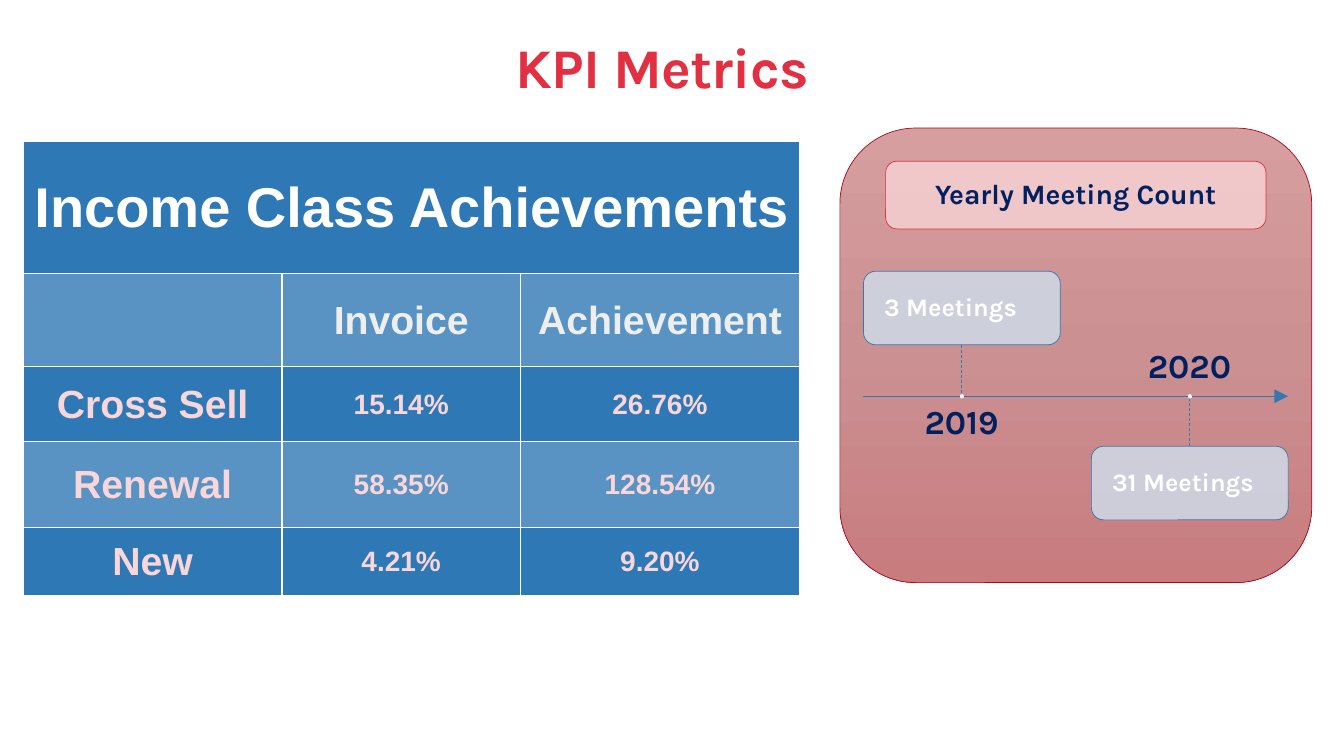
from collections import namedtuple
from copy import deepcopy

from lxml import etree
from pptx import Presentation
from pptx.dml.color import RGBColor
from pptx.enum.dml import MSO_LINE
from pptx.enum.shapes import MSO_CONNECTOR, MSO_SHAPE
from pptx.enum.text import MSO_ANCHOR, PP_ALIGN
from pptx.oxml.ns import qn
from pptx.util import Inches, Pt

COLORS = {
    "title": "E23042", "white": "FFFFFF", "navy": "002060", "heading": "EEEEEE",
    "pink": "F9D6D9", "table": "2E78B5", "band": "5893C4", "axis": "3578AF",
    "panel_top": "D69E9F", "panel_mid": "CB9092", "panel_end": "C87C7E",
    "panel_line": "A80B22", "card": "CED6E3", "caption": "F4CDCF", "dot_end": "E3E3E3",
}
PANEL_GRADIENT = ("panel_top", "panel_mid", "panel_end")
DOT_GRADIENT = ("white", "white", "dot_end")
COLUMNS = (2.57, 2.37, 2.77)
ROWS = (1.32, 0.92, 0.75, 0.85, 0.68)
INCOME = [
    ("Income Class Achievements", "", ""),
    ("", "Invoice", "Achievement"),
    ("Cross Sell", "15.14%", "26.76%"),
    ("Renewal", "58.35%", "128.54%"),
    ("New", "4.21%", "9.20%"),
]
# year, meetings, card left, card top, year top (shares of the panel), card above the axis
MEETINGS = [
    ("2019", "3 Meetings", 0.05, 0.315, 0.61, True),
    ("2020", "31 Meetings", 0.533, 0.70, 0.501, False),
]


class Box(namedtuple("Box", "left top width height")):
    def inner(self, left, top, width, height):
        """Box given as shares of this one."""
        return Box(int(self.left + left * self.width), int(self.top + top * self.height),
                   int(width * self.width), int(height * self.height))


def color(name):
    return RGBColor.from_string(COLORS[name])


def write(frame, text, size, ink, font="Karla", align=PP_ALIGN.CENTER, leading=0.9,
          tracking=None):
    frame.word_wrap = True
    paragraph = frame.paragraphs[0]
    paragraph.alignment = align
    paragraph.line_spacing = leading
    run = paragraph.add_run()
    run.text = text
    run.font.name, run.font.size, run.font.bold = font, Pt(size), True
    run.font.color.rgb = color(ink)
    if tracking:
        run.font._element.set("spc", str(int(tracking * 100)))


def set_frame(holder, sides, bottom, anchor=MSO_ANCHOR.MIDDLE):
    """Set margins and anchor of a text frame or a table cell."""
    holder.margin_left = holder.margin_right = holder.margin_top = Inches(sides)
    holder.margin_bottom = Inches(bottom)
    holder.vertical_anchor = anchor


def add_label(slide, box, text, size, ink, anchor, **style):
    label = slide.shapes.add_textbox(*box)
    set_frame(label.text_frame, 0, 0, anchor)
    write(label.text_frame, text, size, ink, **style)


def add_block(slide, kind, box, fill, line=None, opacity=None):
    block = slide.shapes.add_shape(kind, *box)
    block.shadow.inherit = False
    if isinstance(fill, tuple):
        block.fill.gradient()
        block.fill.gradient_angle = 270
        stops = block._element.spPr.find(qn("a:gradFill")).find(qn("a:gsLst"))
        stops.insert(1, deepcopy(stops[0]))
        for i, (stop, name) in enumerate(zip(block.fill.gradient_stops, fill)):
            stop.color.rgb = color(name)
            stop.position = i / 2
    else:
        block.fill.solid()
        block.fill.fore_color.rgb = color(fill)
    if opacity:
        tint = block._element.spPr.find(qn("a:solidFill"))[0]
        etree.SubElement(tint, qn("a:alpha")).set("val", str(opacity * 1000))
    if line:
        block.line.color.rgb = color(line)
        block.line.width = Pt(0.5)
    else:
        block.line.fill.background()
    return block


def add_line(slide, start, end, dashed=False, arrow=False):
    line = slide.shapes.add_connector(MSO_CONNECTOR.STRAIGHT, *start, *end)
    line.line.color.rgb = color("axis")
    line.line.width = Pt(0.5)
    if dashed:
        line.line.dash_style = MSO_LINE.DASH
    if arrow:
        tail = etree.SubElement(line._element.spPr.find(qn("a:ln")), qn("a:tailEnd"))
        for key, value in (("type", "triangle"), ("w", "lg"), ("len", "lg")):
            tail.set(key, value)
    etree.SubElement(line._element.spPr, qn("a:effectLst"))
    return line


def add_borders(cell):
    properties = cell._tc.get_or_add_tcPr()
    for i, side in enumerate(("lnL", "lnR", "lnT", "lnB")):
        border = etree.Element(qn("a:" + side), w=str(Pt(1)))
        ink = etree.SubElement(etree.SubElement(border, qn("a:solidFill")), qn("a:srgbClr"))
        ink.set("val", COLORS["white"])
        properties.insert(i, border)


def add_title(slide, box):
    add_label(slide, box, "KPI Metrics", 40, "title", MSO_ANCHOR.BOTTOM,
              leading=1.0, tracking=-0.5)


def cell_format(row, column):
    if row == 0:
        return 40, "white"
    if row == 1:
        return 28, "heading"
    return (20 if column else 28), "pink"


def add_income_table(slide, box):
    table = slide.shapes.add_table(len(ROWS), len(COLUMNS), *box).table
    for column, share in zip(table.columns, COLUMNS):
        column.width = int(box.width * share / sum(COLUMNS))
    for row, share in zip(table.rows, ROWS):
        row.height = int(box.height * share / sum(ROWS))
    table.cell(0, 0).merge(table.cell(0, len(COLUMNS) - 1))
    for r, values in enumerate(INCOME):
        for c, value in enumerate(values):
            cell = table.cell(r, c)
            cell.fill.solid()
            cell.fill.fore_color.rgb = color("band" if r % 2 else "table")
            add_borders(cell)
            set_frame(cell, 0.01, 0)
            if value:
                write(cell.text_frame, value, *cell_format(r, c), font="Arial", leading=1.0)


def add_meeting(slide, panel, axis_y, year, count, left, top, year_top, above):
    card_box = panel.inner(left, top, 0.417, 0.162)
    center = card_box.left + card_box.width // 2
    card = add_block(slide, MSO_SHAPE.ROUNDED_RECTANGLE, card_box, "card", "axis", 90)
    set_frame(card.text_frame, 0.17, 0.17)
    write(card.text_frame, count, 18, "white", align=PP_ALIGN.LEFT)

    # Stem between card and axis, with a dot on the axis
    edge = card_box.top + (card_box.height if above else 0)
    stem = add_line(slide, (center, edge), (center, axis_y), dashed=True)
    stem.begin_connect(card, 2 if above else 0)
    dot = Inches(0.04)
    add_block(slide, MSO_SHAPE.OVAL, Box(center - dot // 2, axis_y - dot // 2, dot, dot),
              DOT_GRADIENT)

    # Year on the other side of the axis
    add_label(slide, panel.inner(left + 0.024, year_top, 0.368, 0.067), year, 24, "navy",
              MSO_ANCHOR.TOP if above else MSO_ANCHOR.BOTTOM)


def add_meeting_panel(slide, box):
    add_block(slide, MSO_SHAPE.ROUNDED_RECTANGLE, box, PANEL_GRADIENT, "panel_line")
    caption = add_block(slide, MSO_SHAPE.ROUNDED_RECTANGLE,
                        box.inner(0.097, 0.073, 0.806, 0.149), "caption", "title", 90)
    set_frame(caption.text_frame, 0.17, 0.17)
    write(caption.text_frame, "Yearly Meeting Count", 20, "navy")
    axis = box.inner(0.05, 0.59, 0.9, 0)
    add_line(slide, (axis.left, axis.top), (axis.left + axis.width, axis.top), arrow=True)
    for meeting in MEETINGS:
        add_meeting(slide, box, axis.top, *meeting)


def main():
    deck = Presentation()
    deck.slide_width, deck.slide_height = Inches(13.33), Inches(7.5)
    slide = deck.slides.add_slide(deck.slide_layouts[6])
    add_title(slide, Box(*map(Inches, (1.57, 0.32, 10, 0.67))))
    add_income_table(slide, Box(*map(Inches, (0.23, 1.4, 7.7, 4.51))))
    add_meeting_panel(slide, Box(*map(Inches, (8.33, 1.27, 4.68, 4.51))))
    deck.save("out.pptx")


if __name__ == "__main__":
    main()
